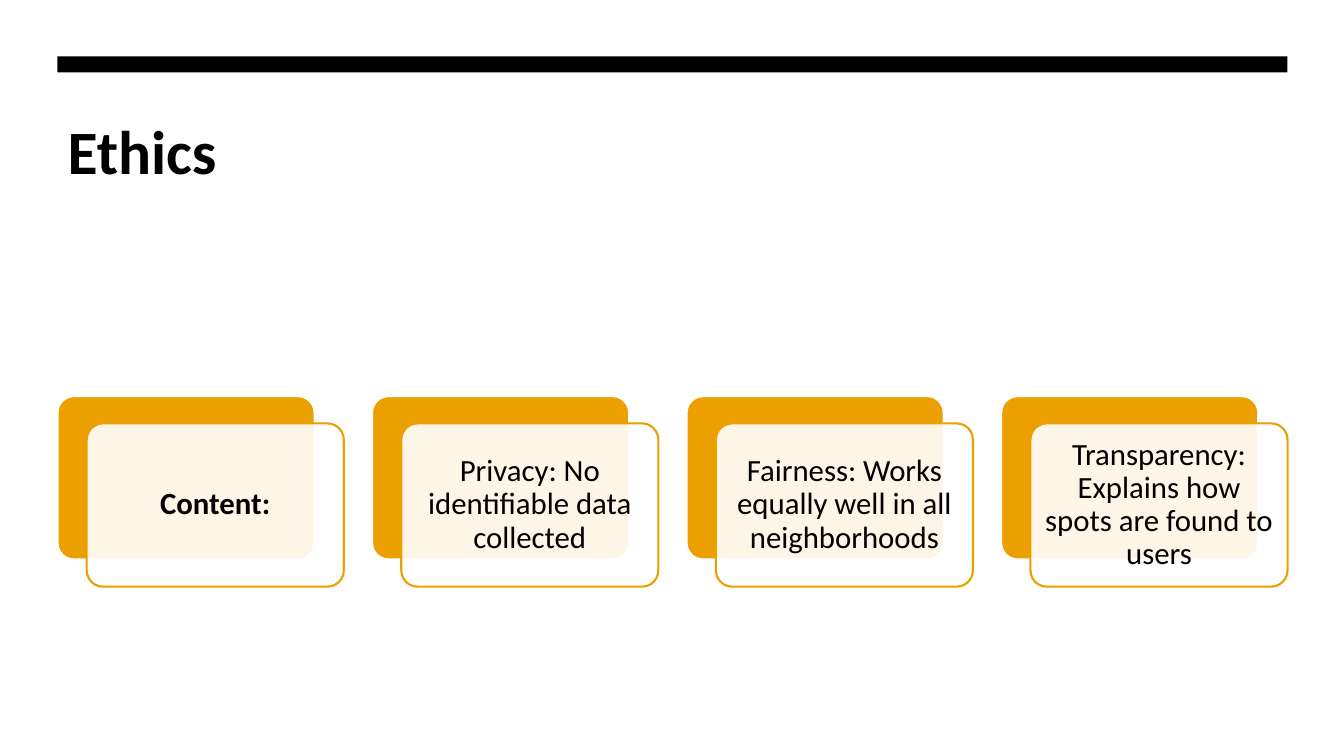
from dataclasses import dataclass

from lxml import etree
from pptx import Presentation
from pptx.dml.color import RGBColor
from pptx.enum.shapes import MSO_SHAPE
from pptx.enum.text import MSO_ANCHOR, MSO_AUTO_SIZE, PP_ALIGN
from pptx.oxml.ns import qn
from pptx.util import Inches, Pt

RECTANGLE = MSO_SHAPE.RECTANGLE
ROUNDED = MSO_SHAPE.ROUNDED_RECTANGLE
TOP, MIDDLE = MSO_ANCHOR.TOP, MSO_ANCHOR.MIDDLE
LEFT, CENTER = PP_ALIGN.LEFT, PP_ALIGN.CENTER
NO_AUTOFIT = MSO_AUTO_SIZE.NONE

TITLE = "Ethics"
CARDS = [
    ("Content:", True),
    ("Privacy: No identifiable data collected", False),
    ("Fairness: Works equally well in all neighborhoods", False),
    ("Transparency: Explains how spots are found to users", False),
]


@dataclass(frozen=True)
class Theme:
    font: str = "Calibri"
    ink: RGBColor = RGBColor(0x00, 0x00, 0x00)
    paper: RGBColor = RGBColor(0xFF, 0xFF, 0xFF)
    accent: RGBColor = RGBColor(0xEB, 0xA0, 0x00)
    title_size: Pt = Pt(44)
    card_size: Pt = Pt(22)
    outline: Pt = Pt(1.5)


THEME = Theme()
MARGIN, CONTENT_WIDTH = 0.57, 12.2
CARD_TOP, CARD_WIDTH, CARD_HEIGHT = 3.93, 2.55, 1.62
CARD_PITCH = 3.12
OFFSET_X, OFFSET_Y = 0.29, 0.27
CARD_INSET = Inches(0.08)


def style_text(paragraph, size, bold, alignment):
    paragraph.alignment = alignment
    paragraph.font.name = THEME.font
    paragraph.font.size = size
    paragraph.font.bold = bold
    paragraph.font.color.rgb = THEME.ink


def add_block(slide, kind, left, top, width, height, fill, line=None):
    shape = slide.shapes.add_shape(
        kind, Inches(left), Inches(top), Inches(width), Inches(height)
    )
    shape.shadow.inherit = False
    shape.fill.solid()
    shape.fill.fore_color.rgb = fill
    if line is None:
        shape.line.fill.background()
    else:
        shape.line.color.rgb = line
        shape.line.width = THEME.outline
    if kind == ROUNDED:
        shape.adjustments[0] = 0.1
    return shape


def set_opacity(shape, percent):
    color = shape.fill._xPr.find(qn("a:solidFill"))[0]
    etree.SubElement(color, qn("a:alpha")).set("val", str(percent * 1000))


def add_title(slide):
    title = slide.shapes.title
    title.left, title.top = Inches(MARGIN), Inches(1.07)
    title.width, title.height = Inches(CONTENT_WIDTH), Inches(1.6)
    frame = title.text_frame
    frame.text = TITLE
    frame.vertical_anchor = TOP
    frame.auto_size = NO_AUTOFIT
    style_text(frame.paragraphs[0], THEME.title_size, True, LEFT)


def add_card(slide, left, text, bold):
    add_block(slide, ROUNDED, left, CARD_TOP, CARD_WIDTH, CARD_HEIGHT,
              THEME.accent, THEME.paper)
    front = add_block(slide, ROUNDED, left + OFFSET_X, CARD_TOP + OFFSET_Y,
                      CARD_WIDTH, CARD_HEIGHT, THEME.paper, THEME.accent)
    set_opacity(front, 90)
    frame = front.text_frame
    frame.text = text
    frame.word_wrap = True
    frame.vertical_anchor = MIDDLE
    frame.margin_left = frame.margin_right = CARD_INSET
    frame.margin_top = frame.margin_bottom = CARD_INSET
    paragraph = frame.paragraphs[0]
    paragraph.line_spacing = 0.9
    style_text(paragraph, THEME.card_size, bold, CENTER)


def main():
    presentation = Presentation()
    presentation.slide_width = Inches(13.33)
    presentation.slide_height = Inches(7.5)
    slide = presentation.slides.add_slide(presentation.slide_layouts[5])
    slide.background.fill.solid()
    slide.background.fill.fore_color.rgb = THEME.paper
    add_title(slide)
    add_block(slide, RECTANGLE, MARGIN, 0.56, CONTENT_WIDTH, 0.16, THEME.ink)
    for index, (text, bold) in enumerate(CARDS):
        add_card(slide, MARGIN + index * CARD_PITCH, text, bold)
    presentation.save("out.pptx")


if __name__ == "__main__":
    main()
